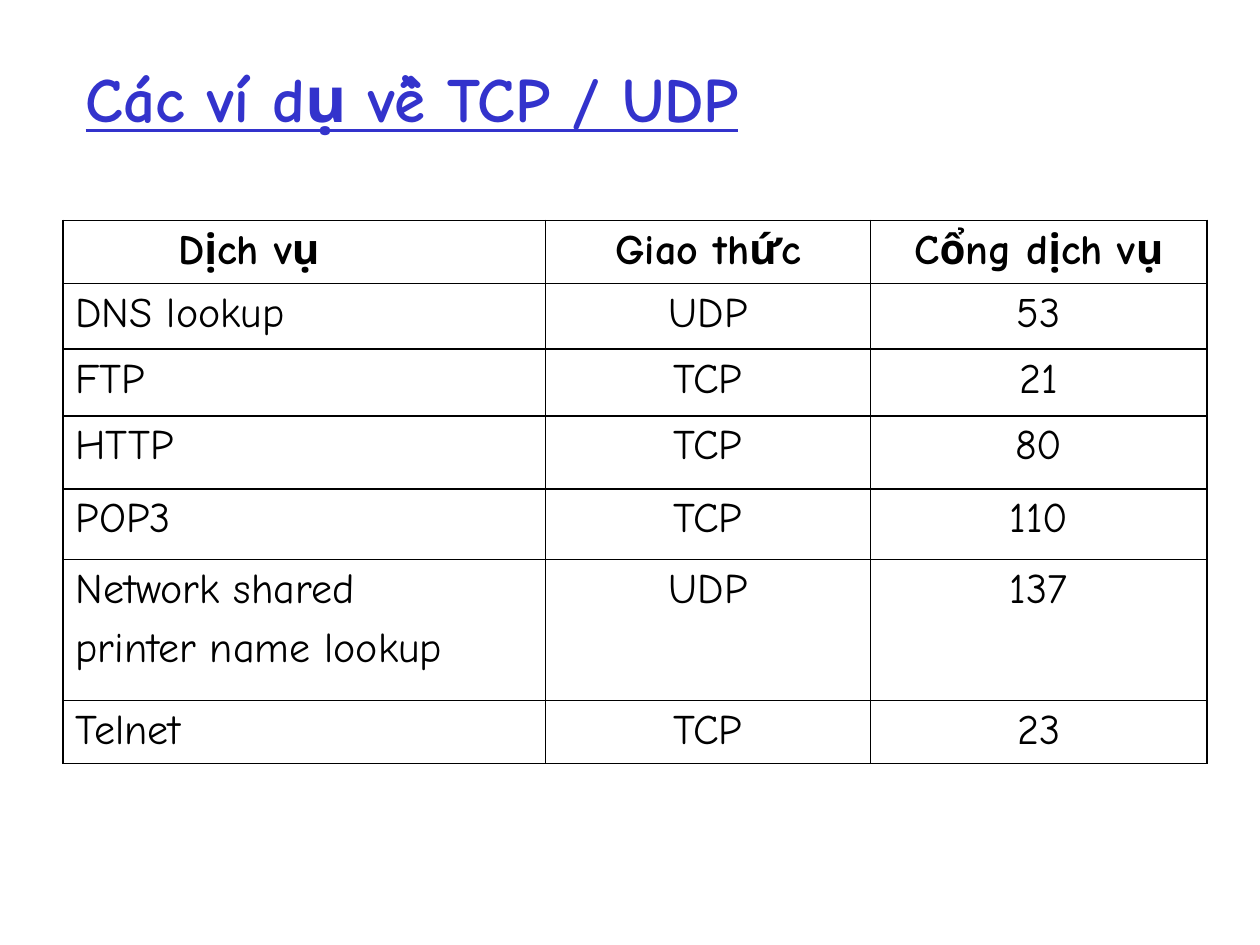
from lxml import etree
from pptx import Presentation
from pptx.dml.color import RGBColor
from pptx.enum.text import MSO_ANCHOR, PP_ALIGN
from pptx.oxml.ns import qn
from pptx.util import Inches, Pt

LEFT, CENTER = PP_ALIGN.LEFT, PP_ALIGN.CENTER
MIDDLE = MSO_ANCHOR.MIDDLE
FONT = "Comic Neue"
BLACK, BLUE = "000000", "3333CC"
THIN, THICK = 0.45, 1.08
COLUMN_WIDTHS = [3.83, 2.58, 2.67]
ROW_HEIGHTS = [0.5, 0.52, 0.53, 0.58, 0.56, 1.12, 0.5]
SERVICES = [
    ("Dịch vụ\t", "Giao thức", "Cổng dịch vụ"),
    ("DNS lookup", "UDP", "53"),
    ("FTP", "TCP", "21"),
    ("HTTP", "TCP", "80"),
    ("POP3", "TCP", "110"),
    ("Network shared\nprinter name lookup", "UDP", "137"),
    ("Telnet", "TCP", "23"),
]


def color(hex_value):
    return RGBColor.from_string(hex_value)


def format_runs(paragraph, size, hex_value, bold, underline=False):
    for run in paragraph.runs:
        run.font.name = FONT
        run.font.size = Pt(size)
        run.font.bold = bold
        run.font.underline = underline
        run.font.color.rgb = color(hex_value)


def add_tab_stops(paragraph):
    stops = etree.SubElement(paragraph._p.get_or_add_pPr(), qn("a:tabLst"))
    for inch in range(8):
        etree.SubElement(stops, qn("a:tab"), pos=str(Inches(inch)), algn="l")


def set_borders(cell, left, right):
    properties = cell._tc.get_or_add_tcPr()
    widths = {"lnL": left, "lnR": right, "lnT": THICK, "lnB": THICK}
    for side, width in widths.items():
        line = etree.SubElement(properties, qn(f"a:{side}"), w=str(Pt(width)))
        fill = etree.SubElement(line, qn("a:solidFill"))
        etree.SubElement(fill, qn("a:srgbClr"), val=BLACK)


def fill_cell(cell, text, alignment, bold):
    cell.fill.background()
    cell.text_frame.text = text
    for index, paragraph in enumerate(cell.text_frame.paragraphs):
        paragraph.alignment = alignment
        if index:
            paragraph.space_before = Pt(6)
        if "\t" in text:
            add_tab_stops(paragraph)
        format_runs(paragraph, 24, BLACK, bold)


def set_title(slide, text):
    title = slide.shapes.title
    title.left, title.top = Inches(0.58), Inches(0.25)
    title.width, title.height = Inches(8.5), Inches(1.04)
    title.text_frame.text = text
    title.text_frame.vertical_anchor = MIDDLE
    heading = title.text_frame.paragraphs[0]
    heading.alignment = LEFT
    format_runs(heading, 36, BLUE, True, underline=True)


def add_service_table(slide):
    table = slide.shapes.add_table(
        len(ROW_HEIGHTS), len(COLUMN_WIDTHS), Inches(0.5), Inches(1.75),
        Inches(sum(COLUMN_WIDTHS)), Inches(sum(ROW_HEIGHTS))).table
    table.first_row = table.horz_banding = False
    for column, width in zip(table.columns, COLUMN_WIDTHS):
        column.width = Inches(width)
    for row, height in zip(table.rows, ROW_HEIGHTS):
        row.height = Inches(height)
    last = len(COLUMN_WIDTHS) - 1
    for r, service in enumerate(SERVICES):
        for c, text in enumerate(service):
            cell = table.cell(r, c)
            set_borders(cell, THIN if c else THICK, THIN if c < last else THICK)
            fill_cell(cell, text, CENTER if r == 0 or c else LEFT, r == 0)


def main():
    presentation = Presentation()
    presentation.slide_width, presentation.slide_height = Inches(10), Inches(7.5)
    slide = presentation.slides.add_slide(presentation.slide_layouts[5])
    set_title(slide, "Các ví dụ về TCP / UDP")
    add_service_table(slide)
    presentation.save("out.pptx")


if __name__ == "__main__":
    main()
